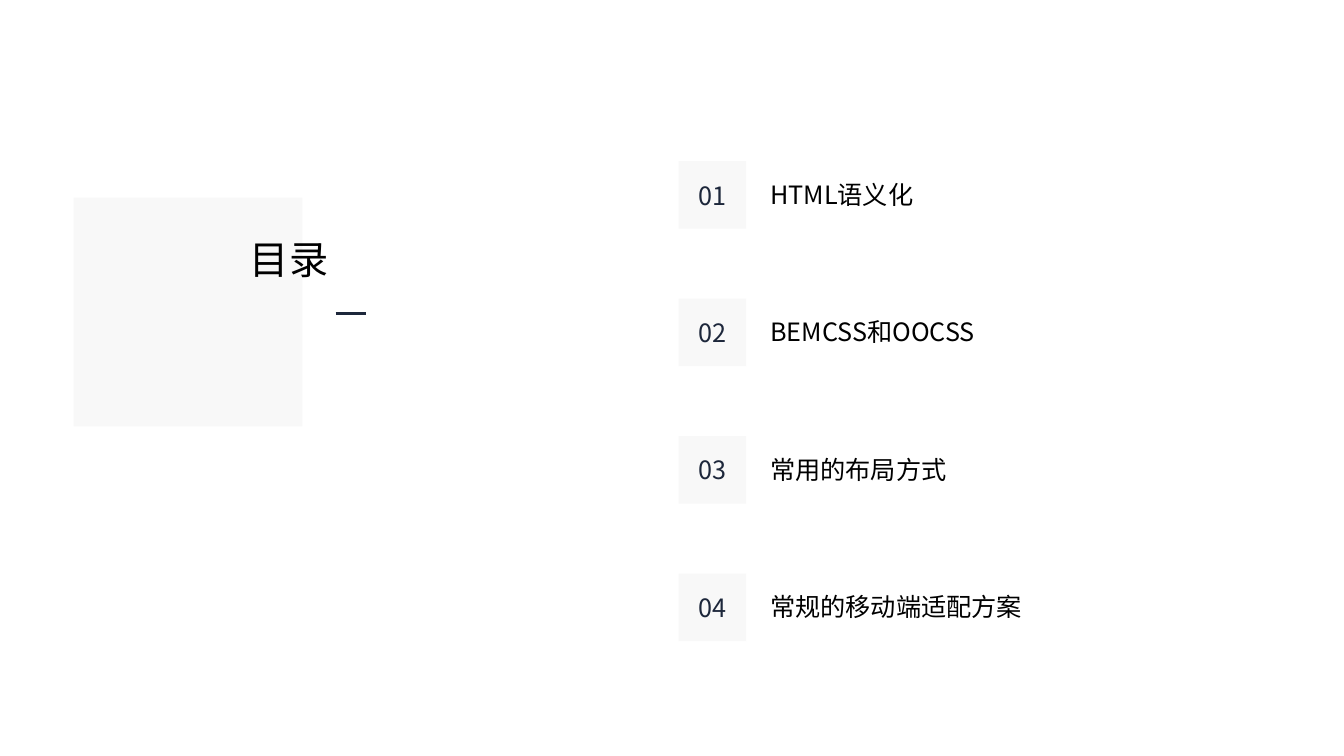
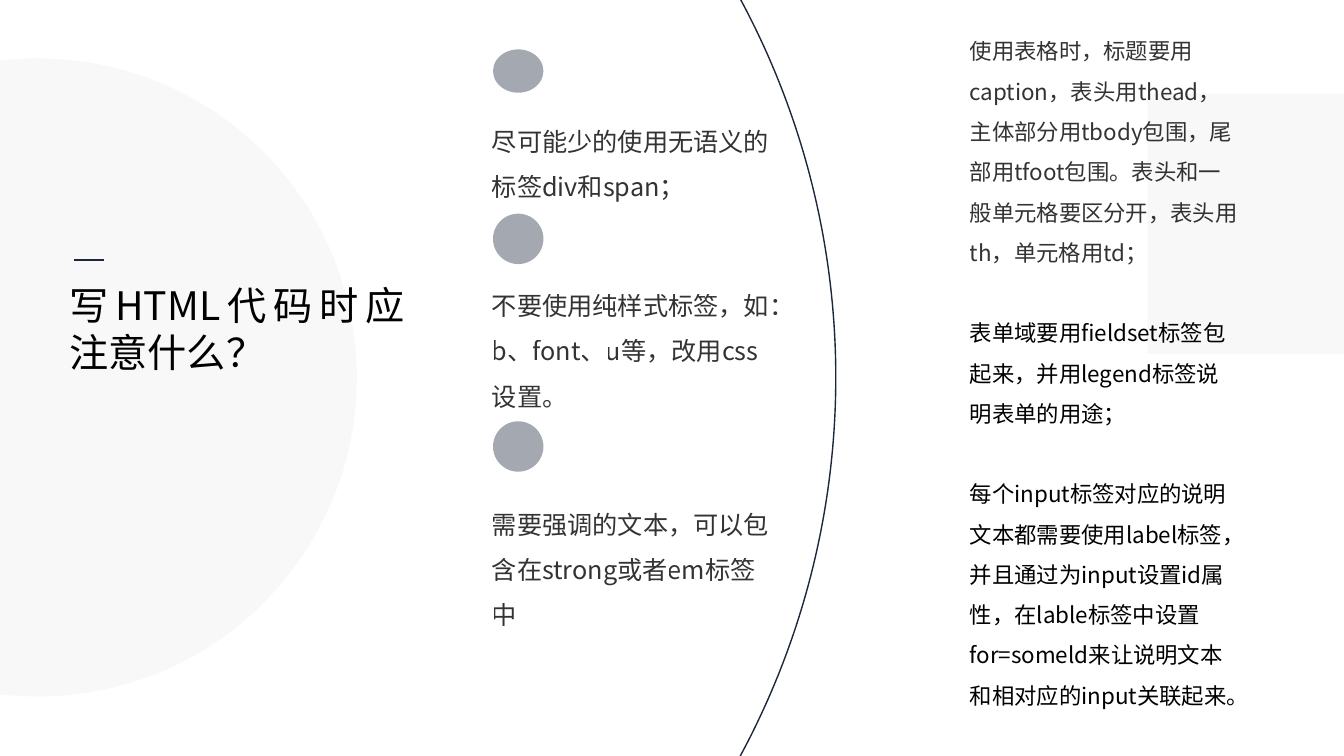
from lxml import etree
from pptx import Presentation
from pptx import util as u
from pptx.dml.color import RGBColor
from pptx.enum import shapes, text
from pptx.oxml import ns

COLOURS = {"ink": "1D273B", "panel": "F8F8F8", "black": "000000"}
FONT = "Noto Sans CJK SC"
SHAPE = shapes.MSO_SHAPE
ALIGN = text.PP_ALIGN

CHAPTERS = [
    ("HTML语义化", 2.32),
    ("BEMCSS和OOCSS", 2.32),
    ("常用的布局方式", 2.32),
    ("常规的移动端适配方案", 3.37),
]
TIPS = [  # icon top, icon height, text top, text height, text
    (0.49, 0.43, 1.05, 0.96, "尽可能少的使用无语义的标签div和span；"),
    (2.12, 0.5, 2.68, 1.41, "不要使用纯样式标签，如：b、font、u等，改用css设置。"),
    (4.18, 0.5, 4.85, 1.41, "需要强调的文本，可以包含在strong或者em标签中"),
]
TABLE_NOTE = (
    "使用表格时，标题要用caption，表头用thead，主体部分用tbody包围，"
    "尾部用tfoot包围。表头和一般单元格要区分开，表头用th，单元格用td；"
)
FORM_NOTE = "表单域要用fieldset标签包起来，并用legend标签说明表单的用途；"
LABEL_NOTE = (
    "每个input标签对应的说明文本都需要使用label标签，并且通过为input设置id属性，"
    "在lable标签中设置for=someld来让说明文本和相对应的input关联起来。"
)


def set_opacity(element, percent):
    """Make every colour inside the element partly transparent."""
    for colour in element.iter(ns.qn("a:srgbClr")):
        etree.SubElement(colour, ns.qn("a:alpha"), val=str(percent * 1000))


class Deck:
    def __init__(self):
        self.presentation = Presentation()
        self.presentation.slide_width = u.Inches(13.33)
        self.presentation.slide_height = u.Inches(7.5)
        self.slide = None

    def new_slide(self):
        self.slide = self.presentation.slides.add_slide(self.presentation.slide_layouts[6])

    def colour(self, name):
        return RGBColor.from_string(COLOURS[name])

    def shape(self, kind, left, top, width, height, fill="panel", opacity=100, line=None):
        shape = self.slide.shapes.add_shape(kind, *map(u.Inches, (left, top, width, height)))
        shape.shadow.inherit = False
        if fill:
            shape.fill.solid()
            shape.fill.fore_color.rgb = self.colour(fill)
        else:
            shape.fill.background()
        if line:
            shape.line.color.rgb = self.colour(line)
            shape.line.width = u.Pt(1)
        else:
            shape.line.fill.background()
        if opacity < 100:
            set_opacity(shape._element.spPr, opacity)
        return shape

    def dash(self, left, top):
        """Short accent line beside a title."""
        line = self.slide.shapes.add_connector(
            shapes.MSO_CONNECTOR.STRAIGHT, *map(u.Inches, (left, top, left + 0.3, top)))
        line.line.color.rgb = self.colour("ink")
        line.line.width = u.Pt(2)
        etree.SubElement(line._element.spPr, ns.qn("a:effectLst"))

    def fill_paragraph(self, paragraph, words, size=18, colour="black", opacity=100, **layout):
        for name, value in layout.items():
            setattr(paragraph, name, value)
        run = paragraph.add_run()
        run.text = words
        for name, value in {"size": u.Pt(size), "name": FONT}.items():
            setattr(run.font, name, value)
        run.font.color.rgb = self.colour(colour)
        properties = run._r.get_or_add_rPr()
        etree.SubElement(properties, ns.qn("a:ea"), typeface=FONT)
        if opacity < 100:
            set_opacity(properties, opacity)

    def text_frame(self, left, top, width, height):
        box = self.slide.shapes.add_textbox(*map(u.Inches, (left, top, width, height)))
        box.text_frame.word_wrap = True
        box.text_frame.auto_size = text.MSO_AUTO_SIZE.SHAPE_TO_FIT_TEXT
        return box.text_frame

    def text(self, left, top, width, height, words, **style):
        frame = self.text_frame(left, top, width, height)
        self.fill_paragraph(frame.paragraphs[0], words, **style)

    def title(self, left, top, width, height, words):
        self.text(left, top, width, height, words, size=28, alignment=ALIGN.JUSTIFY)

    def number_tile(self, left, top, number):
        frame = self.shape(SHAPE.RECTANGLE, left, top, 0.67, 0.67).text_frame
        frame.vertical_anchor = text.MSO_ANCHOR.MIDDLE
        self.fill_paragraph(frame.paragraphs[0], f"{number:02}", colour="ink",
                            alignment=ALIGN.CENTER)


def add_contents(deck):
    deck.new_slide()
    deck.shape(SHAPE.RECTANGLE, 0.73, 1.96, 2.27, 2.27)
    deck.title(2.38, 2.29, 1.25, 0.57, "目录")
    deck.dash(3.33, 3.11)
    first_top, last_top = 1.6, 5.69
    step = (last_top - first_top) / (len(CHAPTERS) - 1)
    for index, (name, width) in enumerate(CHAPTERS):
        top = first_top + index * step
        deck.number_tile(6.73, top, index + 1)
        deck.text(7.54, top + 0.13, width, 0.4, name)


def add_html_advice(deck):
    deck.new_slide()
    deck.shape(SHAPE.RECTANGLE, 11.38, 0.93, 1.95, 2.58)
    deck.shape(SHAPE.OVAL, -7.54, -4.17, 15.83, 15.83, fill=None, line="ink")
    deck.shape(SHAPE.OVAL, -2.79, 0.58, 6.33, 6.33)
    deck.title(0.59, 2.74, 3.52, 1.04, "写HTML代码时应注意什么？")
    deck.dash(0.73, 2.58)
    for icon_top, icon_height, top, height, words in TIPS:
        deck.shape(SHAPE.OVAL, 4.89, icon_top, 0.5, icon_height, fill="ink", opacity=40)
        deck.text(4.78, top, 3.02, height, words, opacity=80, line_spacing=1.5)

    frame = deck.text_frame(9.52, 0.19, 2.86, 7)
    deck.fill_paragraph(frame.paragraphs[0], TABLE_NOTE, size=16, opacity=80, line_spacing=1.5)
    for words in (FORM_NOTE, LABEL_NOTE):
        deck.fill_paragraph(frame.add_paragraph(), words, size=16, line_spacing=1.5,
                            space_before=u.Pt(28.7))


def main():
    deck = Deck()
    add_contents(deck)
    add_html_advice(deck)
    deck.presentation.save("out.pptx")


if __name__ == "__main__":
    main()
